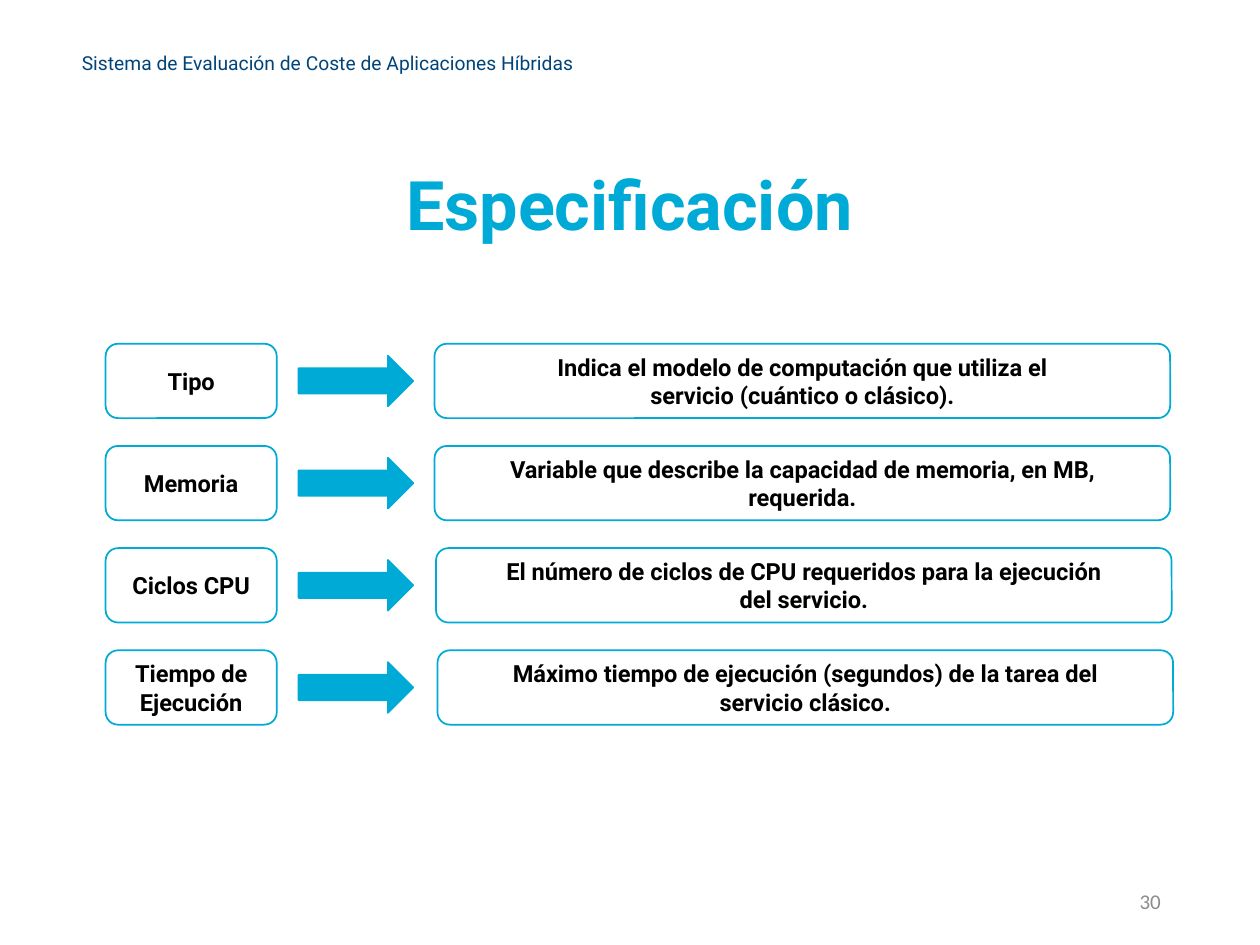
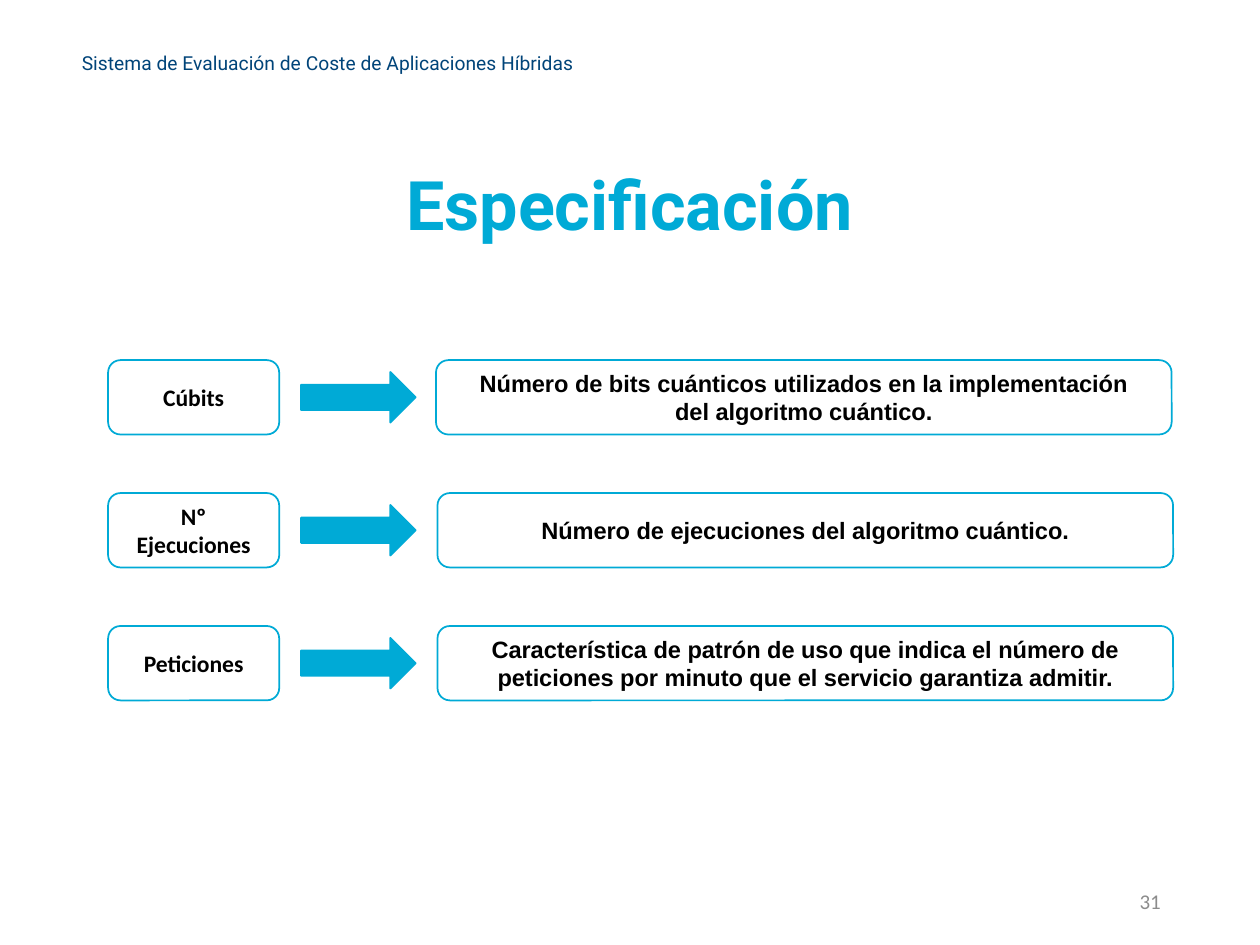
from dataclasses import dataclass

from pptx import Presentation
from pptx import util as u
from pptx.dml.color import RGBColor
from pptx.enum import shapes, text

Cm, Pt = u.Cm, u.Pt
Kind = shapes.MSO_SHAPE
Align, Anchor = text.PP_ALIGN, text.MSO_ANCHOR


@dataclass(frozen=True)
class Theme:
    cyan: str = "00AAD6"
    navy: str = "004479"
    gray: str = "8C8C8C"
    black: str = "000000"
    white: str = "FFFFFF"
    main: str = "Roboto"
    plain: str = "Calibri"
    alt: str = "Arial"
    head: float = 11
    title: float = 39
    body: float = 13.5
    page: float = 12


T = Theme()
HIGH = 1.5
ARROW = 1.02


def rgb(code):
    return RGBColor.from_string(code)


def write(shape, words, size, face, color, bold=False,
          align=Align.CENTER, anchor=Anchor.MIDDLE, space=1.0):
    """Fill a shape with text; a newline starts a paragraph, \\v breaks a line."""
    frame = shape.text_frame
    frame.word_wrap = True
    frame.vertical_anchor = anchor
    frame.text = words
    look = {"size": Pt(size), "name": face, "bold": bold}
    for para in frame.paragraphs:
        para.alignment = align
        para.line_spacing = space
        for run in para.runs:
            for key, value in look.items():
                setattr(run.font, key, value)
            run.font.color.rgb = rgb(color)


def label(slide, spot, words, *look, **more):
    box = slide.shapes.add_textbox(*map(Cm, spot))
    write(box, words, *look, **more)


def block(slide, kind, spot, fill):
    shape = slide.shapes.add_shape(kind, *map(Cm, spot))
    shape.shadow.inherit = False
    shape.fill.solid()
    shape.fill.fore_color.rgb = rgb(fill)
    shape.line.color.rgb = rgb(T.cyan)
    shape.line.width = Pt(1)
    return shape


def card(slide, left, top, width, words, face):
    shape = block(slide, Kind.ROUNDED_RECTANGLE, (left, top, width, HIGH), T.white)
    write(shape, words, T.body, face, T.black, bold=True)


def frame(deck, page):
    """Add a slide with the running header, title and page number."""
    slide = deck.slides.add_slide(deck.slide_layouts[6])
    label(slide, (1.4, 0.91, 23.32, 2.08),
          "Sistema de Evaluación de Coste de Aplicaciones Híbridas",
          T.head, T.main, T.navy, align=Align.LEFT, anchor=Anchor.TOP)
    label(slide, (1.75, 3.33, 21.89, 2.36), "Especificación",
          T.title, T.main, T.cyan, bold=True, anchor=Anchor.TOP, space=0.9)
    label(slide, (17.93, 17.65, 5.72, 1.02), str(page),
          T.page, T.plain, T.gray, align=Align.RIGHT)
    return slide


def terms(slide, left, top, pitch, faces, rows):
    """Stack rows of term, arrow and meaning."""
    for i, (term, start, sense) in enumerate(rows):
        y = top + i * pitch
        card(slide, left, y, 3.45, term, faces[0])
        block(slide, Kind.RIGHT_ARROW,
              (left + 3.89, y + (HIGH - ARROW) / 2, 2.31, ARROW), T.cyan)
        card(slide, start, y, 14.83, sense, faces[1])


def main():
    deck = Presentation()
    deck.slide_width, deck.slide_height = Cm(25.4), Cm(19.05)
    terms(frame(deck, 30), 2.13, 6.93, 2.06, (T.main, T.main), [
        ("Tipo", 8.76, "Indica el modelo de computación que utiliza el\n"
                       "servicio (cuántico o clásico)."),
        ("Memoria", 8.76, "Variable que describe la capacidad de memoria, en MB,\v"
                          "requerida."),
        ("Ciclos CPU", 8.79, "El número de ciclos de CPU requeridos para la ejecución\v"
                             "del servicio."),
        ("Tiempo de Ejecución", 8.82,
         "Máximo tiempo de ejecución (segundos) de la tarea del\v"
         "servicio clásico."),
    ])
    terms(frame(deck, 31), 2.18, 7.26, 2.68, (T.plain, T.alt), [
        ("Cúbits", 8.79, "Número de bits cuánticos utilizados en la implementación\v"
                         "del algoritmo cuántico."),
        ("Nº\nEjecuciones", 8.82, "Número de ejecuciones del algoritmo cuántico."),
        ("Peticiones", 8.82, "Característica de patrón de uso que indica el número de\v"
                             "peticiones por minuto que el servicio garantiza admitir."),
    ])
    deck.save("out.pptx")


if __name__ == "__main__":
    main()
